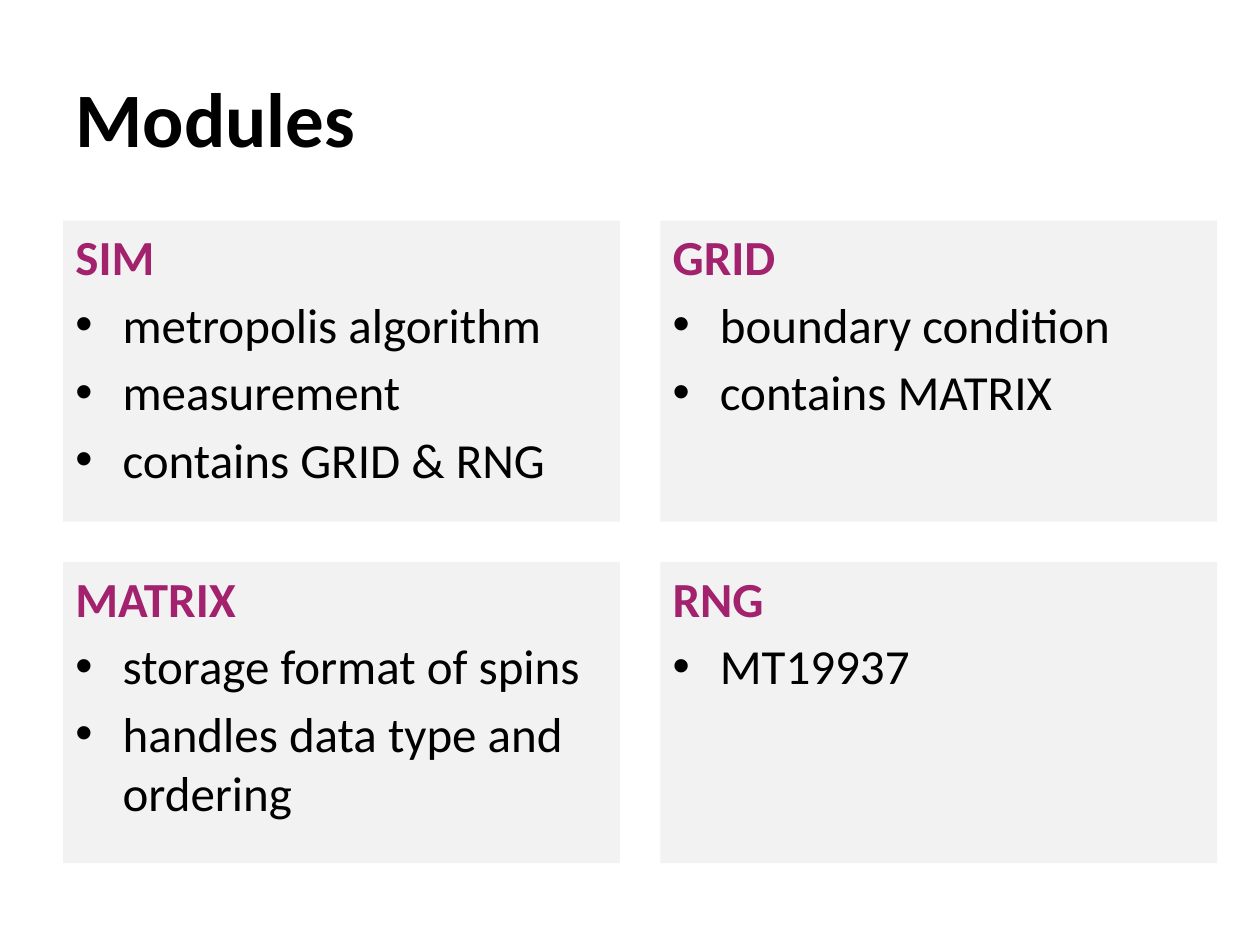
"""Build the Modules slide: a title above a two by two grid of module cards."""
from dataclasses import dataclass

from lxml import etree
from pptx import Presentation
from pptx.dml.color import RGBColor
from pptx.enum import shapes, text
from pptx.oxml.ns import qn
from pptx.util import Pt

TITLE = "Modules"
MODULES = [
    [
        ("SIM", ["metropolis algorithm", "measurement", "contains GRID & RNG"]),
        ("GRID", ["boundary condition", "contains MATRIX"]),
    ],
    [
        ("MATRIX", ["storage format of spins", "handles data type and ordering"]),
        ("RNG", ["MT19937"]),
    ],
]


@dataclass(frozen=True)
class Theme:
    font: str = "Calibri"
    title_size: int = 44
    card_size: int = 28
    ink: str = "000000"
    accent: str = "A2226E"
    panel: str = "F2F2F2"


THEME = Theme()
SLIDE_WIDTH, SLIDE_HEIGHT = 720, 540
LEFT, TITLE_TOP, TITLE_WIDTH, TITLE_HEIGHT = 36, 21.6, 648, 90
GRID_TOP, CARD_WIDTH, CARD_HEIGHT, GAP = 126, 318.24, 172.08, 23.04
BULLET_INDENT, ITEM_SPACING = 27, 5


def add_span(para, words, size, color, bold=False):
    span = para.add_run()
    span.text = words
    span.font.name = THEME.font
    span.font.size = Pt(size)
    span.font.bold = bold
    span.font.color.rgb = RGBColor.from_string(color)


def set_bullet(para):
    properties = para._p.get_or_add_pPr()
    properties.set("marL", str(Pt(BULLET_INDENT)))
    properties.set("indent", str(-Pt(BULLET_INDENT)))
    bullet_font = etree.SubElement(properties, qn("a:buFont"))
    bullet_font.set("typeface", "Arial")
    etree.SubElement(properties, qn("a:buChar")).set("char", "•")


def add_title(page):
    box = page.shapes.add_textbox(
        Pt(LEFT), Pt(TITLE_TOP), Pt(TITLE_WIDTH), Pt(TITLE_HEIGHT))
    frame = box.text_frame
    frame.word_wrap = True
    frame.vertical_anchor = text.MSO_ANCHOR.MIDDLE
    add_span(frame.paragraphs[0], TITLE, THEME.title_size, THEME.ink, bold=True)


def add_card(page, left, top, heading, items):
    card = page.shapes.add_shape(
        shapes.MSO_SHAPE.RECTANGLE,
        Pt(left), Pt(top), Pt(CARD_WIDTH), Pt(CARD_HEIGHT))
    card.shadow.inherit = False
    card.fill.solid()
    card.fill.fore_color.rgb = RGBColor.from_string(THEME.panel)
    card.line.fill.background()
    frame = card.text_frame
    frame.word_wrap = True
    frame.vertical_anchor = text.MSO_ANCHOR.TOP
    para = frame.paragraphs[0]
    para.alignment = text.PP_ALIGN.LEFT
    add_span(para, heading, THEME.card_size, THEME.accent, bold=True)
    for item in items:
        para = frame.add_paragraph()
        set_bullet(para)
        para.alignment = text.PP_ALIGN.LEFT
        para.space_before = Pt(ITEM_SPACING)
        add_span(para, item, THEME.card_size, THEME.ink)


def main():
    deck = Presentation()
    deck.slide_width, deck.slide_height = Pt(SLIDE_WIDTH), Pt(SLIDE_HEIGHT)
    page = deck.slides.add_slide(deck.slide_layouts[6])
    add_title(page)
    for row, cards in enumerate(MODULES):
        for column, (heading, items) in enumerate(cards):
            left = LEFT + column * (CARD_WIDTH + GAP)
            top = GRID_TOP + row * (CARD_HEIGHT + GAP)
            add_card(page, left, top, heading, items)
    deck.save("out.pptx")


if __name__ == "__main__":
    main()
